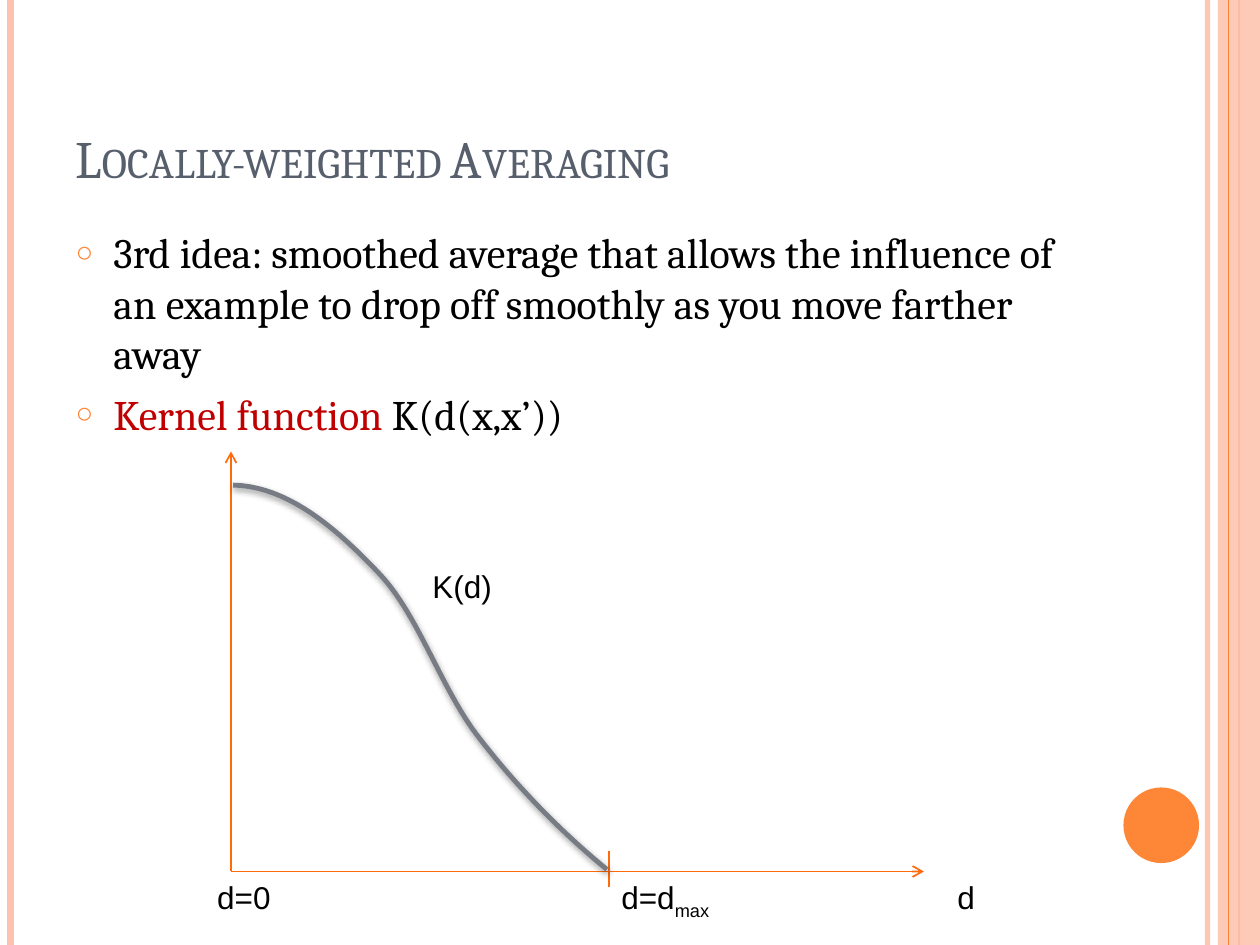
"""Builds a slide on locally-weighted averaging with a kernel curve, on a 120 by 90 grid."""
from lxml import etree
from pptx import Presentation, util as u
from pptx.dml.color import RGBColor
from pptx.enum import shapes, text
from pptx.oxml.ns import qn

HUE = {"pale": "FEC3AE", "orange": "FE8637", "axis": "FF6B0A", "curve": "777C84",
       "title": "575F6D", "red": "C00000", "black": "000000"}
CELL = u.Inches(10) / 120
CURVE = [(22.2, 46.2), (27.5, 46.3), (32.2, 50.5), (36, 54.5), (39.8, 58.4),
         (41.9, 65.4), (45.5, 70.1), (49.1, 74.8), (53.5, 79.3), (57.8, 82.8)]


def grid(*cells):
    return [u.Emu(round(cell * CELL)) for cell in cells]


def rgb(name):
    return RGBColor.from_string(HUE[name])


def sub(node, tag, **attrs):
    child = etree.SubElement(node, qn(tag))
    for key, value in attrs.items():
        child.set(key, str(value))
    return child


def fade(shape, share):
    color = next(shape._element.spPr.iter(qn("a:srgbClr")))
    sub(color, "a:alpha", val=share * 1000)


def add_line(slide, ends, hue, width, arrow=False):
    line = slide.shapes.add_connector(shapes.MSO_CONNECTOR.STRAIGHT, *grid(*ends))
    line.line.color.rgb = rgb(hue)
    line.line.width = u.Pt(width)
    if arrow:
        sub(line.line._get_or_add_ln(), "a:tailEnd", type="arrow")
    sub(line._element.spPr, "a:effectLst")
    return line


def add_block(slide, kind, box, hue):
    block = slide.shapes.add_shape(kind, *grid(*box))
    block.shadow.inherit = False
    block.fill.solid()
    block.fill.fore_color.rgb = rgb(hue)
    block.line.fill.background()
    return block


def add_run(para, words, font, size, hue="black"):
    run = para.add_run()
    run.text = words
    run.font.name = font
    run.font.size = u.Pt(size)
    run.font.color.rgb = rgb(hue)
    return run


def add_label(slide, box, words, low=""):
    frame = slide.shapes.add_textbox(*grid(*box)).text_frame
    frame.word_wrap = True
    para = frame.paragraphs[0]
    add_run(para, words, "Arial", 18)
    if low:
        run = add_run(para, low, "Arial", 18)
        run.font._element.set("baseline", "-25000")


def place(holder, box, anchor):
    holder.left, holder.top, holder.width, holder.height = grid(*box)
    frame = holder.text_frame
    frame.auto_size = text.MSO_AUTO_SIZE.NONE
    frame.vertical_anchor = anchor
    return frame


def set_title(slide, words):
    frame = place(slide.shapes.title, (6, 3.6, 98, 15), text.MSO_ANCHOR.BOTTOM)
    para = frame.paragraphs[0]
    para.alignment = text.PP_ALIGN.LEFT
    run = add_run(para, words, "Cambria", 30, "title")
    run.font._element.set("cap", "small")


def set_body(slide, items):
    frame = place(slide.placeholders[1], (6, 21, 98, 64), text.MSO_ANCHOR.TOP)
    for index, item in enumerate(items):
        para = frame.add_paragraph() if index else frame.paragraphs[0]
        para.space_before = u.Pt(6)
        props = para._p.get_or_add_pPr()
        props.set("marL", str(u.Inches(0.3)))
        props.set("indent", str(-u.Inches(0.3)))
        sub(sub(props, "a:buClr"), "a:srgbClr", val=HUE["orange"])
        sub(props, "a:buSzPct", val=70000)
        sub(props, "a:buFont", typeface="Arial")
        sub(props, "a:buChar", char="○")
        for words, hue in item:
            add_run(para, words, "Cambria", 24, hue)


def bezier(knots, steps=20):
    """Return points along a chain of cubic curves."""
    points = [knots[0]]
    for start in range(0, len(knots) - 1, 3):
        part = knots[start:start + 4]
        for step in range(1, steps + 1):
            t = step / steps
            share = ((1 - t) ** 3, 3 * t * (1 - t) ** 2, 3 * t * t * (1 - t), t ** 3)
            points.append(tuple(sum(s * p[axis] for s, p in zip(share, part))
                                for axis in (0, 1)))
    return points


def add_curve(slide):
    first, *rest = [grid(*point) for point in bezier(CURVE)]
    pen = slide.shapes.build_freeform(*first)
    pen.add_line_segments(rest, close=False)
    curve = pen.convert_to_shape()
    curve.fill.background()
    curve.line.color.rgb = rgb("curve")
    curve.line.width = u.Pt(2.75)
    shade = sub(sub(curve._element.spPr, "a:effectLst"), "a:outerShdw",
                blurRad=u.Pt(4), dist=u.Pt(1.6), dir=90 * 60000, rotWithShape=0)
    sub(sub(shade, "a:srgbClr", val=HUE["black"]), "a:alpha", val=42000)


def add_frame(slide):
    fade(add_line(slide, (115, 0, 115, 90), "pale", 3), 93)
    add_line(slide, (1, 0, 1, 90), "pale", 4.5)
    add_line(slide, (118, 0, 118, 90), "orange", 1.5)
    fade(add_block(slide, shapes.MSO_SHAPE.RECTANGLE, (116, 0, 4, 90), "pale"), 87)
    add_line(slide, (117, 0, 117, 90), "orange", 0.75)
    add_block(slide, shapes.MSO_SHAPE.OVAL, (107, 75, 7.2, 7.2), "orange")


def add_plot(slide):
    add_line(slide, (22, 83, 88, 83), "axis", 1, arrow=True)
    add_line(slide, (22, 83, 22, 43), "axis", 1, arrow=True)
    add_label(slide, (90, 83, 5, 5), "d")
    add_label(slide, (19.5, 83, 13.5, 4.8), "d=0")
    add_label(slide, (58, 83, 13.5, 4.8), "d=d", "max")
    add_line(slide, (58, 81, 58, 84.5), "axis", 1)
    add_curve(slide)
    add_label(slide, (40, 53.4, 11, 4.8), "K(d)")


def main():
    deck = Presentation()
    deck.slide_width, deck.slide_height = grid(120, 90)
    slide = deck.slides.add_slide(deck.slide_layouts[1])
    add_frame(slide)
    set_title(slide, "Locally-weighted Averaging")
    set_body(slide, [
        [("3rd idea: smoothed average that allows the influence of an example "
          "to drop off smoothly as you move farther away", "black")],
        [("Kernel function ", "red"), ("K(d(x,x’))", "black")],
    ])
    add_plot(slide)
    deck.save("out.pptx")


if __name__ == "__main__":
    main()
